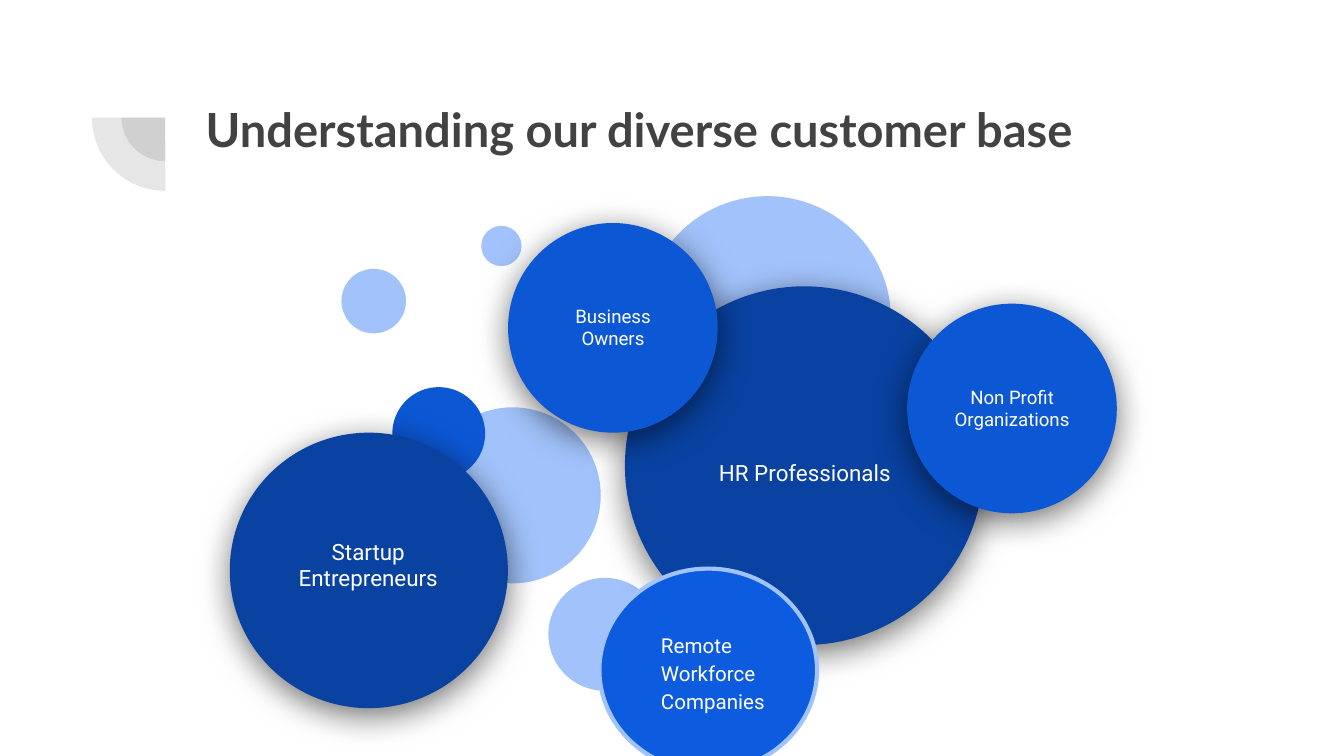
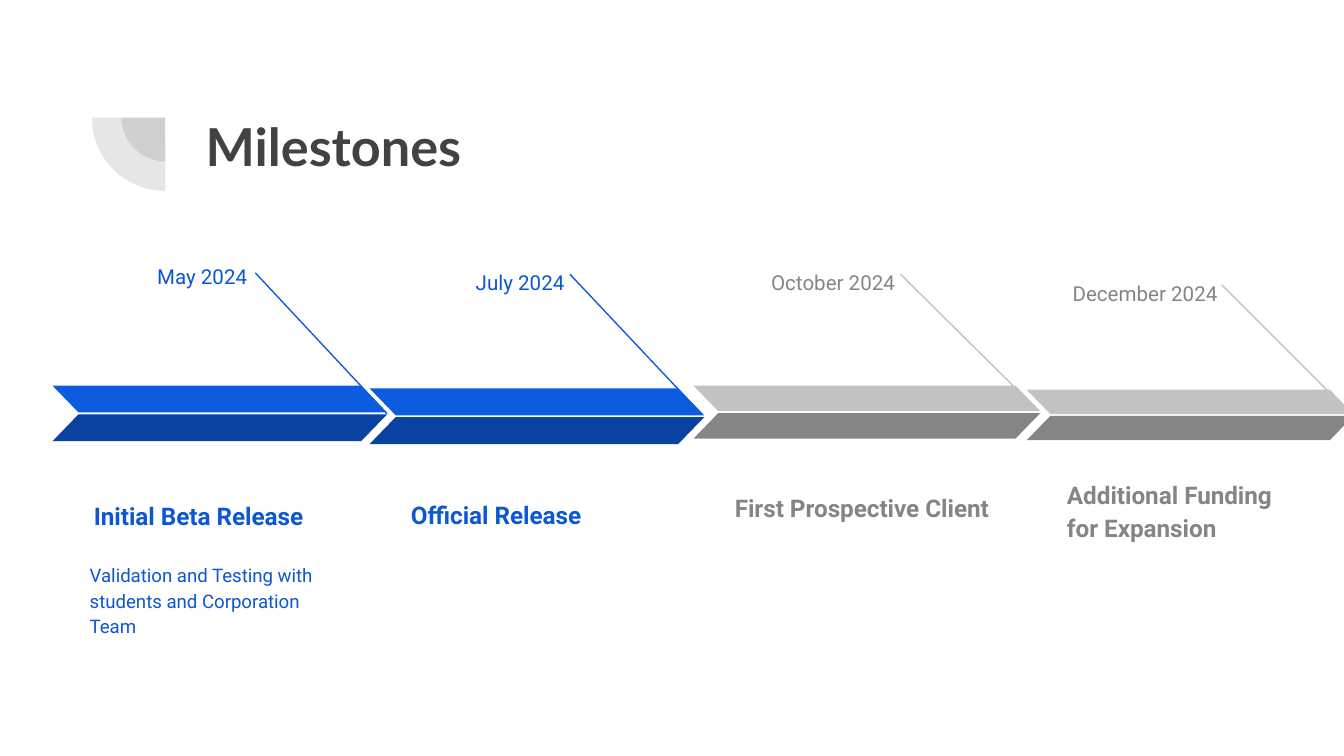
import dataclasses

import pptx
import pptx.dml.color
import pptx.enum.shapes
import pptx.enum.text
import pptx.oxml
import pptx.oxml.ns
import pptx.util

Pt = pptx.util.Pt
SHAPE = pptx.enum.shapes.MSO_SHAPE
ALIGN = pptx.enum.text.PP_ALIGN
ANCHOR = pptx.enum.text.MSO_ANCHOR


@dataclasses.dataclass(frozen=True)
class Theme:
    ink: str = "424242"
    white: str = "FFFFFF"
    navy: str = "0942A1"
    blue: str = "0C57D3"
    bright: str = "0D5CDF"
    pale: str = "A1C2FA"
    grey: str = "858585"
    silver: str = "C2C2C2"
    title_font: str = "Lato"
    body_font: str = "Roboto"
    long_title: float = 25.2
    title: float = 28
    heading: float = 13
    large: float = 12
    label: float = 11
    small: float = 10
    inset: float = 7.2


THEME = Theme()


@dataclasses.dataclass(frozen=True)
class Milestone:
    """Boxes are (left, top, width, height); leader is (x1, y1, x2, y2)."""
    date: str
    heading: str
    reached: bool
    date_box: tuple
    heading_box: tuple
    leader: tuple
    bar_box: tuple
    detail: str = ""
    detail_box: tuple = ()


DECOR = [  # left, top, diameter, colour
    (293.8, 309.6, 60.5, THEME.pale),
    (182.9, 144, 34.6, THEME.pale),
    (227.5, 218.2, 94.3, THEME.pale),
    (344.9, 105.1, 132.5, THEME.pale),
    (210.2, 207.4, 49.7, THEME.blue),
    (257.8, 121, 21.6, THEME.pale),
]

CUSTOMERS = [  # name, colour, size, circle box, label box
    ("HR Professionals", THEME.navy, THEME.large,
     (334.8, 153.4, 192.2, 192.2), (357.8, 207.4, 146.9, 91.4)),
    ("Business Owners", THEME.blue, THEME.small,
     (272.2, 119.5, 112.3, 112.3), (289.9, 138.2, 77, 74.2)),
    ("Startup Entrepreneurs", THEME.navy, THEME.large,
     (123.1, 231.8, 149, 147.6), (140.4, 267.1, 113.8, 70.6)),
    ("Non Profit Organizations", THEME.blue, THEME.small,
     (486, 162.7, 112.3, 112.3), (503.7, 181.4, 77, 74.2)),
]

MILESTONES = [
    Milestone("May 2024", "Initial Beta Release", True,
              (66.2, 132.5, 73.4, 28.1), (43.2, 246.2, 146.9, 45.4),
              (136.8, 146.2, 207.4, 221.8), (28.1, 206.6, 179.3, 14.4),
              "Validation and Testing with students and Corporation Team",
              (41, 293, 150.5, 74.9)),
    Milestone("July 2024", "Official Release", True,
              (239.8, 135.4, 69.8, 23.8), (213.1, 246.2, 146.9, 44.6),
              (305.3, 146.9, 375.1, 221), (198, 208.1, 179.3, 14.4)),
    Milestone("October 2024", "First Prospective Client", False,
              (396, 135.4, 90.7, 23.8), (386.6, 244.1, 153, 43.2),
              (482.4, 146.9, 555.1, 218.9), (371.5, 206.6, 185.8, 13.7)),
    Milestone("December 2024", "Additional Funding for Expansion", False,
              (563, 141.1, 96.5, 22.3), (564.5, 257, 143.3, 41),
              (654.5, 152.6, 722.9, 221), (550.1, 208.8, 175, 13)),
]


def rgb(color):
    return pptx.dml.color.RGBColor.from_string(color)


def points(values):
    return [Pt(v) for v in values]


def add_child(parent, tag, **attrs):
    child = pptx.oxml.parse_xml(f"<a:{tag} {pptx.oxml.ns.nsdecls('a')}/>")
    for name, value in attrs.items():
        child.set(name, str(value))
    parent.append(child)
    return child


def add_filled(slide, kind, box, color):
    sp = slide.shapes.add_shape(kind, *points(box))
    sp.fill.solid()
    sp.fill.fore_color.rgb = rgb(color)
    sp.line.fill.background()
    sp.shadow.inherit = False
    return sp


def add_soft_shadow(sp):
    effects = sp._element.spPr.find(pptx.oxml.ns.qn("a:effectLst"))
    shadow = add_child(effects, "outerShdw", blurRad=Pt(18), dist=Pt(4),
                       dir=90 * 60000, algn="bl", rotWithShape=0)
    color = add_child(shadow, "srgbClr", val="000000")
    add_child(color, "alpha", val=55000)


def write_text(tf, text, size, color, font=THEME.body_font, bold=False,
               align=ALIGN.LEFT, anchor=ANCHOR.TOP, spacing=1.0, after=0):
    tf.word_wrap = True
    tf.auto_size = pptx.enum.text.MSO_AUTO_SIZE.NONE
    tf.vertical_anchor = anchor
    tf.margin_left = tf.margin_right = Pt(THEME.inset)
    tf.margin_top = tf.margin_bottom = Pt(THEME.inset)
    p = tf.paragraphs[0]
    p.alignment = align
    p.line_spacing = spacing
    p.space_after = Pt(after)
    r = p.add_run()
    r.text = text
    r.font.name = font
    r.font.size = Pt(size)
    r.font.bold = bold
    r.font.color.rgb = rgb(color)


def add_text(slide, box, text, size, color, **style):
    sp = slide.shapes.add_textbox(*points(box))
    write_text(sp.text_frame, text, size, color, **style)


def add_corner_mark(slide):
    """Two translucent quarter circles that share a centre."""
    for d in (46.8, 78.5):
        sp = add_filled(slide, SHAPE.PIE, (88.5 - d / 2, 63 - d / 2, d, d),
                        THEME.ink)
        sp.adjustments[0] = 107.93
        sp.adjustments[1] = 162
        sp.rotation = 270
        color = sp._element.spPr.find(".//" + pptx.oxml.ns.qn("a:srgbClr"))
        add_child(color, "alpha", val=13000)


def add_titled_slide(prs, title, top, size):
    slide = prs.slides.add_slide(prs.slide_layouts[5])
    add_corner_mark(slide)
    sp = slide.shapes.title
    sp.left, sp.top, sp.width, sp.height = points((103, top, 553.7, 78.5))
    write_text(sp.text_frame, title, size, THEME.ink,
               font=THEME.title_font, bold=True)
    return slide


def add_leader(slide, ends, color):
    line = slide.shapes.add_connector(
        pptx.enum.shapes.MSO_CONNECTOR.STRAIGHT, *points(ends))
    line.line.color.rgb = rgb(color)
    line.line.width = Pt(0.75)
    add_child(line._element.spPr, "effectLst")


def add_arrow_bar(slide, box, upper, lower):
    """Two mirrored parallelograms that form one arrow."""
    left, top, width, height = box
    halves = ((top, upper, True), (top + height + 1, lower, False))
    for y, color, flipped in halves:
        sp = add_filled(slide, SHAPE.PARALLELOGRAM, (left, y, width, height),
                        color)
        sp.adjustments[0] = 0.97
        if flipped:
            sp._element.spPr.get_or_add_xfrm().set("flipH", "1")


def add_milestone(slide, m):
    if m.reached:
        text, upper, lower = THEME.blue, THEME.bright, THEME.navy
    else:
        text, upper, lower = THEME.grey, THEME.silver, THEME.grey
    add_text(slide, m.date_box, m.date, THEME.label, text,
             align=ALIGN.RIGHT, spacing=1.15, after=16)
    add_text(slide, m.heading_box, m.heading, THEME.heading, text,
             bold=True, anchor=ANCHOR.BOTTOM, spacing=1.15)
    if m.detail:
        add_text(slide, m.detail_box, m.detail, THEME.small, text,
                 spacing=1.15, after=16)
    add_leader(slide, m.leader, upper)
    add_arrow_bar(slide, m.bar_box, upper, lower)


def build_customers(prs):
    slide = add_titled_slide(prs, "Understanding our diverse customer base",
                             46.8, THEME.long_title)
    for left, top, d, color in DECOR:
        add_filled(slide, SHAPE.OVAL, (left, top, d, d), color)
    for name, color, size, circle, label in CUSTOMERS:
        add_soft_shadow(add_filled(slide, SHAPE.OVAL, circle, color))
        add_text(slide, label, name, size, THEME.white,
                 align=ALIGN.CENTER, anchor=ANCHOR.MIDDLE)
    remote = add_filled(slide, SHAPE.OVAL, (321.1, 304.6, 116.6, 108.7),
                        THEME.bright)
    remote.line.color.rgb = rgb(THEME.pale)
    remote.line.width = Pt(2.25)
    add_text(slide, (347, 338.4, 73.4, 42.5), "Remote Workforce Companies",
             THEME.label, THEME.white, anchor=ANCHOR.MIDDLE, spacing=1.15)


def build_milestones(prs):
    slide = add_titled_slide(prs, "Milestones", 54, THEME.title)
    for m in MILESTONES:
        add_milestone(slide, m)


def main():
    prs = pptx.Presentation()
    prs.slide_width, prs.slide_height = Pt(720), Pt(405)
    build_customers(prs)
    build_milestones(prs)
    prs.save("out.pptx")


if __name__ == "__main__":
    main()
